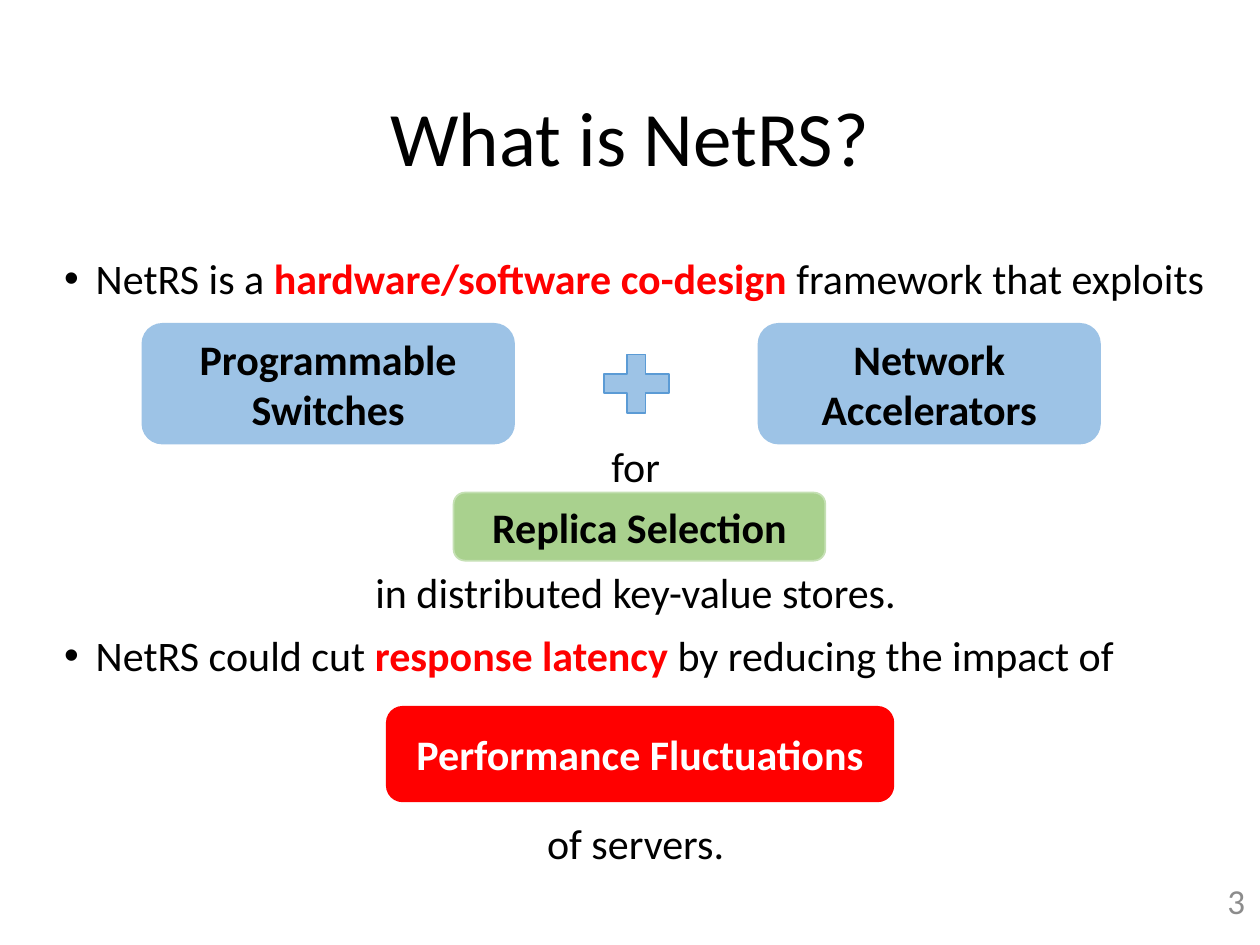
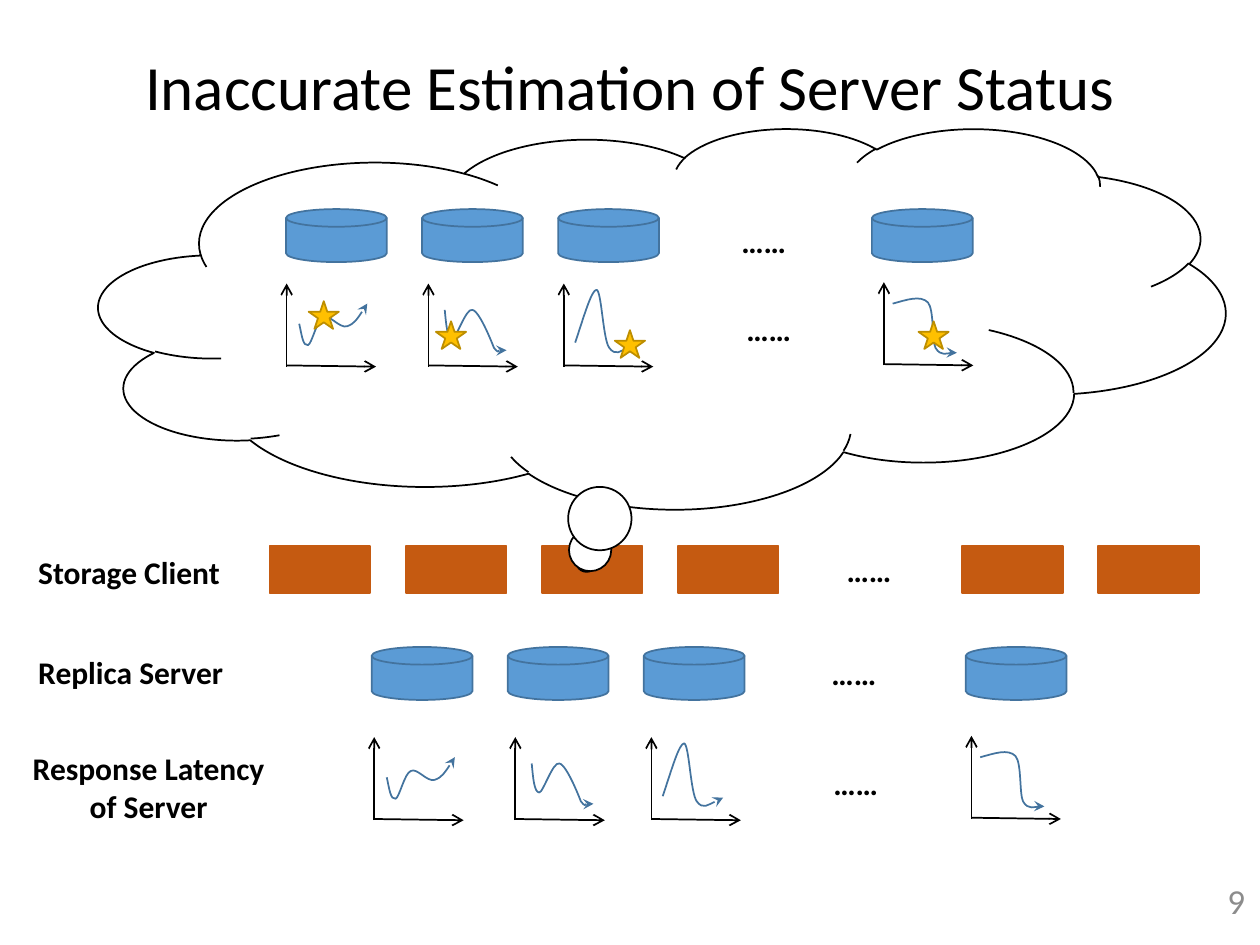
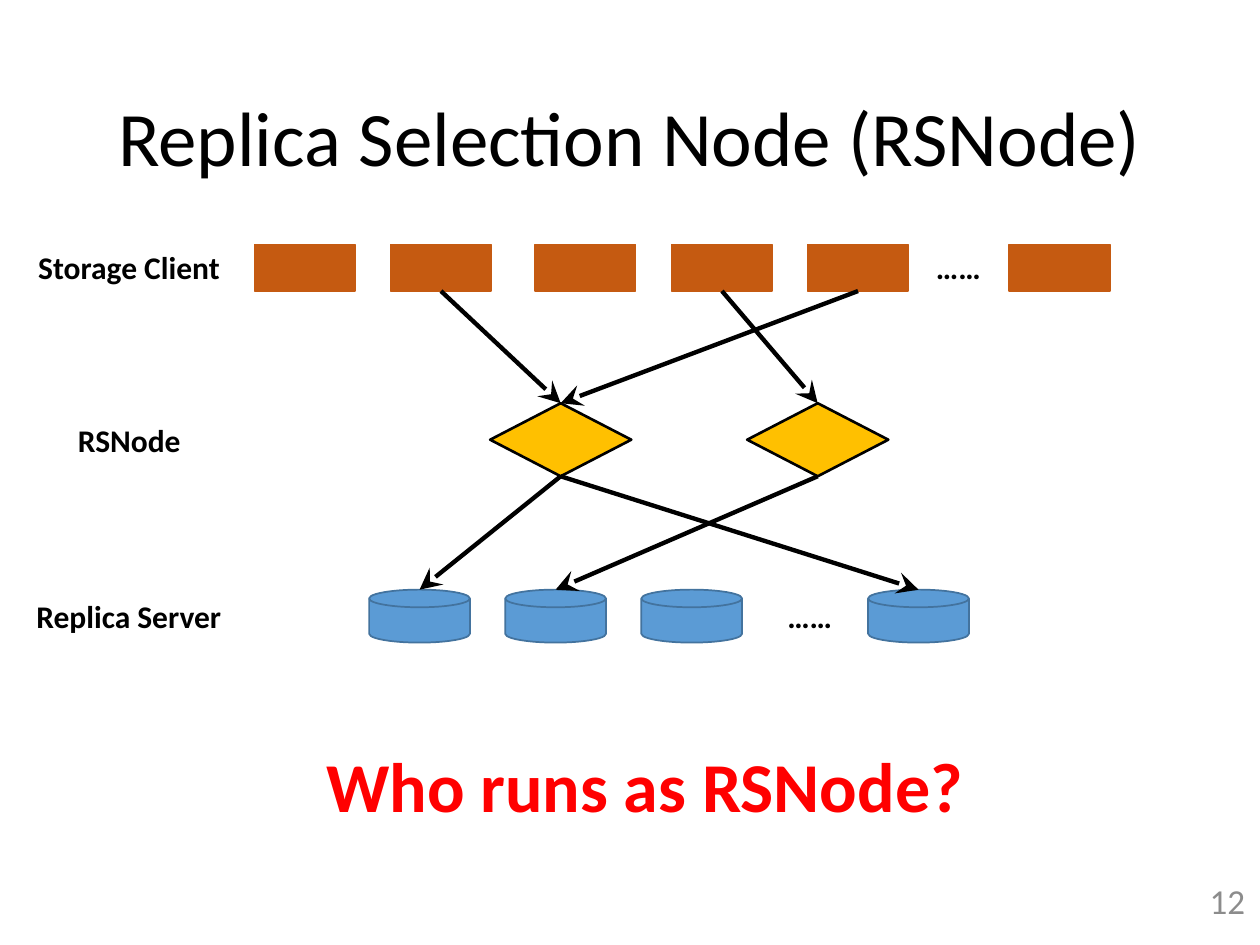
import pptx
import pptx.dml.color
import pptx.enum.shapes
import pptx.enum.text
import pptx.oxml
import pptx.oxml.ns
import pptx.util

SHAPE = pptx.enum.shapes.MSO_SHAPE
ALIGN = pptx.enum.text.PP_ALIGN
ANCHOR = pptx.enum.text.MSO_ANCHOR
AUTO_SIZE = pptx.enum.text.MSO_AUTO_SIZE

FONT = "Calibri"
BLACK, WHITE, RED, GREY = "000000", "FFFFFF", "FF0000", "8C8C8C"
BLUE, DARK_BLUE, LIGHT_BLUE = "5B9BD5", "43739E", "9DC3E6"
ORANGE, GOLD, DARK_GOLD = "C55A11", "FFC000", "BD8E00"
GREEN, LIGHT_GREEN = "A9D18E", "C5E0B4"

PITCH = 10.8
LINE_HEIGHT = 35.8

RISING = [(1, -3.4), (1.2, -2.5), (1.3, -1.6), (1.7, -1.7), (2, -1.8), (2.4, -3.7), (2.9, -3.9),
          (3.4, -4.2), (4.2, -3), (4.8, -3.2), (5.4, -3.4), (5.9, -4.2), (6.4, -5)]
WAVE = [(1.3, -4.5), (1.4, -3.4), (1.5, -2.2), (1.9, -2.2), (2.2, -2.2), (3, -4.7), (3.5, -4.5),
        (4.1, -4.4), (5.2, -1.5), (5.2, -1.5), (5.6, -1), (5.9, -1.5), (6, -1.5),
        (6.2, -1.5), (6.2, -1.4), (6.2, -1.3)]
PEAK = [(0.9, -1.9), (1.6, -4), (2.2, -6.1), (2.6, -6.1), (3, -6), (3.1, -2.2), (3.6, -1.5),
        (4.1, -0.8), (5.7, -1.8), (5.7, -1.8)]
FALLING = [(0.7, -4.9), (1.8, -5.2), (2.9, -5.6), (3.5, -5), (4, -4.4), (3.8, -2), (4.1, -1.4),
           (4.5, -0.7), (5.8, -1.1), (5.8, -1.1), (6.1, -1), (6, -1), (5.8, -1)]
LATENCIES = [RISING, WAVE, PEAK, FALLING]


def cells(*counts):
    """Convert counts of grid cells, a hundred across the slide, to lengths."""
    return [pptx.util.Inches(count / 10) for count in counts]


def rgb(value):
    """Turn a hex string into a colour."""
    return pptx.dml.color.RGBColor.from_string(value)


def add_element(parent, tag, **attributes):
    """Append an XML element to its parent and return it."""
    element = parent.makeelement(pptx.oxml.ns.qn(tag), attributes)
    parent.append(element)
    return element


def style_font(font, size, color, bold=False):
    """Set the shared typeface with a size, colour and weight."""
    font.name, font.size, font.bold = FONT, pptx.util.Pt(size), bold
    font.color.rgb = rgb(color)


def style_line(line, color, width, arrow=None, arrow_size="med"):
    """Colour a line and give it an arrowhead at its end when asked."""
    line.color.rgb = rgb(color)
    line.width = pptx.util.Pt(width)
    if arrow:
        add_element(line._get_or_add_ln(), "a:tailEnd", type=arrow, w=arrow_size, len=arrow_size)


def add_title(slide, text, top=4, height=14.5, size=44):
    """Place and format the slide title."""
    title = slide.shapes.title
    title.left, title.top, title.width, title.height = cells(6.9, top, 86.2, height)
    frame = title.text_frame
    frame.text = text
    frame.auto_size = AUTO_SIZE.NONE
    frame.vertical_anchor = ANCHOR.MIDDLE
    paragraph = frame.paragraphs[0]
    paragraph.alignment = ALIGN.CENTER
    paragraph.line_spacing = 0.9
    style_font(paragraph.font, size, BLACK)


def add_label(slide, text, left, top, width, height=4, size=18, color=BLACK, align=ALIGN.LEFT, bold=True):
    """Add a text box fitted to its lines."""
    box = slide.shapes.add_textbox(*cells(left, top, width, height))
    frame = box.text_frame
    frame.text = text
    frame.word_wrap = False
    for paragraph in frame.paragraphs:
        paragraph.alignment = align
        style_font(paragraph.font, size, color, bold)
    return box


def add_page_number(slide, number):
    """Add the number in the bottom right corner."""
    box = add_label(slide, str(number), 77.3, 69.5, 22.5, size=20, color=GREY, align=ALIGN.RIGHT, bold=False)
    box.text_frame.word_wrap = True
    box.text_frame.vertical_anchor = ANCHOR.MIDDLE


def add_dots(slide, left, top):
    """Add the ellipsis that stands for further items."""
    add_label(slide, "……", left, top, 5.8)


def add_figure(slide, kind, left, top, width, height, fill, outline, line_width=1):
    """Add a preset shape with a flat fill and outline."""
    shape = slide.shapes.add_shape(kind, *cells(left, top, width, height))
    shape.shadow.inherit = False
    shape.fill.solid()
    shape.fill.fore_color.rgb = rgb(fill)
    style_line(shape.line, outline, line_width)
    return shape


def add_card(slide, text, left, top, width, height, fill, outline, color=BLACK):
    """Add a rounded box with bold centred text."""
    card = add_figure(slide, SHAPE.ROUNDED_RECTANGLE, left, top, width, height, fill, outline)
    frame = card.text_frame
    frame.text = text
    frame.word_wrap = True
    frame.vertical_anchor = ANCHOR.MIDDLE
    frame.paragraphs[0].alignment = ALIGN.CENTER
    style_font(frame.paragraphs[0].font, 24, color, True)


def add_clients(slide, lefts, top):
    """Add a row of storage clients."""
    return [add_figure(slide, SHAPE.RECTANGLE, left, top, 8, 3.7, ORANGE, ORANGE) for left in lefts]


def add_servers(slide, lefts, top):
    """Add a row of replica servers."""
    return [add_figure(slide, SHAPE.FLOWCHART_MAGNETIC_DISK, left, top, 8, 4.2, BLUE, DARK_BLUE)
            for left in lefts]


def add_arrow(slide, begin, end, width, arrow, arrow_size="med"):
    """Add a black straight arrow between two points."""
    connector = slide.shapes.add_connector(pptx.enum.shapes.MSO_CONNECTOR.STRAIGHT, *begin, *end)
    style_line(connector.line, BLACK, width, arrow, arrow_size)
    add_element(connector._element.spPr, "a:effectLst")


def link(slide, upper, lower):
    """Point an arrow from the foot of one shape to the top of another."""
    begin = (upper.left + upper.width // 2, upper.top + upper.height)
    end = (lower.left + lower.width // 2, lower.top)
    add_arrow(slide, begin, end, 2.5, "stealth", "lg")


def bend(shape):
    """Turn every three straight segments of a freeform into one cubic curve."""
    segments = list(shape._element.iter(pptx.oxml.ns.qn("a:lnTo")))
    outline = segments[0].getparent()
    for start in range(0, len(segments), 3):
        curve = add_element(outline, "a:cubicBezTo")
        for segment in segments[start:start + 3]:
            curve.append(segment[0])
            outline.remove(segment)


def add_latency_graph(slide, left, bottom, controls):
    """Draw two axes and a latency curve from their origin."""
    add_arrow(slide, cells(left, bottom - 0.1), cells(left + 7.1, bottom), 1, "arrow")
    add_arrow(slide, cells(left, bottom), cells(left, bottom - 6.6), 1, "arrow")
    points = [cells(left + x, bottom + y) for x, y in controls]
    builder = slide.shapes.build_freeform(*points[0])
    builder.add_line_segments(points[1:], close=False)
    curve = builder.convert_to_shape()
    bend(curve)
    curve.shadow.inherit = False
    curve.fill.background()
    style_line(curve.line, DARK_BLUE, 1, "stealth")


def add_latency_graphs(slide, lefts, bottom):
    """Add a graph for each server, the last a little higher."""
    for left, controls in zip(lefts, LATENCIES):
        add_latency_graph(slide, left, bottom - 0.1 * (controls is FALLING), controls)


def add_statement(paragraph, runs, bulleted, blank_lines=0):
    """Fill a body paragraph, leaving room for a number of lines above it."""
    paragraph.line_spacing = 0.9
    paragraph.space_before = pptx.util.Pt(10 + blank_lines * LINE_HEIGHT)
    paragraph.alignment = ALIGN.LEFT if bulleted else ALIGN.CENTER
    for text, color in runs:
        run = paragraph.add_run()
        run.text = text
        style_font(run.font, 24, color, color == RED)
    properties = paragraph._p.get_or_add_pPr()
    indent = pptx.util.Inches(0.25) if bulleted else 0
    properties.set("marL", str(indent))
    properties.set("indent", str(-indent))
    if bulleted:
        add_element(properties, "a:buChar", char="•")
    else:
        add_element(properties, "a:buNone")


def build_definition(slide):
    """Build the slide that explains the framework."""
    add_title(slide, "What is NetRS?")
    body = slide.placeholders[1]
    body.left, body.top, body.width, body.height = cells(4.1, 20, 92.7, 55)
    frame = body.text_frame
    frame.auto_size = AUTO_SIZE.NONE
    statements = [
        ([("NetRS is a ", BLACK), ("hardware/software co-design ", RED),
          ("framework that exploits", BLACK)], True, 0),
        ([("for", BLACK)], False, 2),
        ([("in distributed key-value stores.", BLACK)], False, 1),
        ([("NetRS could cut ", BLACK), ("response latency ", RED),
          ("by reducing the impact of", BLACK)], True, 0),
        ([("of servers.", BLACK)], False, 2),
    ]
    for index, statement in enumerate(statements):
        add_statement(frame.add_paragraph() if index else frame.paragraphs[0], *statement)
    add_card(slide, "Programmable Switches", 11.3, 25.7, 29.5, 9.5, LIGHT_BLUE, LIGHT_BLUE)
    add_card(slide, "Network Accelerators", 60.2, 25.7, 27.1, 9.5, LIGHT_BLUE, LIGHT_BLUE)
    add_figure(slide, SHAPE.MATH_PLUS, 47, 27.3, 7, 6.3, LIGHT_BLUE, BLUE)
    add_card(slide, "Replica Selection", 36, 39.1, 29.5, 5.4, GREEN, LIGHT_GREEN)
    add_card(slide, "Performance Fluctuations", 30.7, 56.1, 40.2, 7.5, RED, RED, WHITE)


def build_estimation(slide):
    """Build the slide on what a client believes about the servers."""
    add_title(slide, "Inaccurate Estimation of Server Status", 1.8, 10.7, 36)
    add_label(slide, "Storage Client", 2.05, 43.4, 16.5)
    add_clients(slide, [21.4 + PITCH * column for column in range(4)] + [76.35, 76.35 + PITCH], 43.35)
    add_dots(slide, 66.2, 43.25)
    add_label(slide, "Replica Server", 2.05, 51.35, 16.8)
    add_servers(slide, [29.5 + PITCH * column for column in range(3)] + [76.65], 51.35)
    add_dots(slide, 65, 51.45)
    add_label(slide, "Response Latency\nof Server", 1.55, 58.95, 20.5, 7.1, align=ALIGN.CENTER)
    add_latency_graphs(slide, [29.7, 40.9, 51.7, 77.1], 65.1)
    add_dots(slide, 65.15, 60.15)

    cloud = add_figure(slide, SHAPE.CLOUD_CALLOUT, 7.85, 10.15, 89.4, 30.2, WHITE, BLACK)
    cloud.adjustments[0], cloud.adjustments[1] = -6.7 / 100, 63.9 / 100
    add_servers(slide, [22.7 + PITCH * column for column in range(3)] + [69.2], 16.6)
    add_dots(slide, 57.85, 17.1)
    add_latency_graphs(slide, [22.75, 34, 44.75, 70.15], 29.1)
    add_dots(slide, 58.25, 24.15)
    for left, top in [(24.5, 23.9), (34.6, 25.5), (48.8, 26.2), (72.9, 25.5)]:
        add_figure(slide, SHAPE.STAR_5_POINT, left, top, 2.4, 2.2, GOLD, DARK_GOLD)


def build_selection_node(slide):
    """Build the slide that links clients to servers through RSNodes."""
    add_title(slide, "Replica Selection Node (RSNode)")
    add_label(slide, "Storage Client", 2.05, 19.2, 16.5)
    clients = add_clients(slide, [20.2, 31, 42.45, 53.3, 64.1, 80.1], 19.4)
    add_dots(slide, 73.3, 19.2)
    add_label(slide, "RSNode", 5.2, 32.9, 10.2)
    nodes = [add_figure(slide, SHAPE.DIAMOND, left, 32, 11.2, 5.8, GOLD, BLACK, 1.5) for left in (38.9, 59.3)]
    add_label(slide, "Replica Server", 1.9, 46.9, 16.8)
    servers = add_servers(slide, [29.3 + PITCH * column for column in range(3)] + [68.9], 46.8)
    add_dots(slide, 61.5, 46.9)
    for client, node in [(1, 0), (3, 1), (4, 0)]:
        link(slide, clients[client], nodes[node])
    for node, server in [(0, 0), (0, 3), (1, 1)]:
        link(slide, nodes[node], servers[server])
    question = add_label(slide, "Who runs as RSNode?", 24.9, 58.4, 54.2, 7.7, 40, RED)
    question.text_frame.word_wrap = True


def main():
    """Build the presentation and save it."""
    presentation = pptx.Presentation()
    presentation.slide_width, presentation.slide_height = cells(100, 75)
    title_and_body, title_only = presentation.slide_layouts[1], presentation.slide_layouts[5]
    pages = [(build_definition, title_and_body, 3), (build_estimation, title_only, 9),
             (build_selection_node, title_only, 12)]
    for build, layout, number in pages:
        slide = presentation.slides.add_slide(layout)
        build(slide)
        add_page_number(slide, number)
    presentation.save("out.pptx")


if __name__ == "__main__":
    main()
